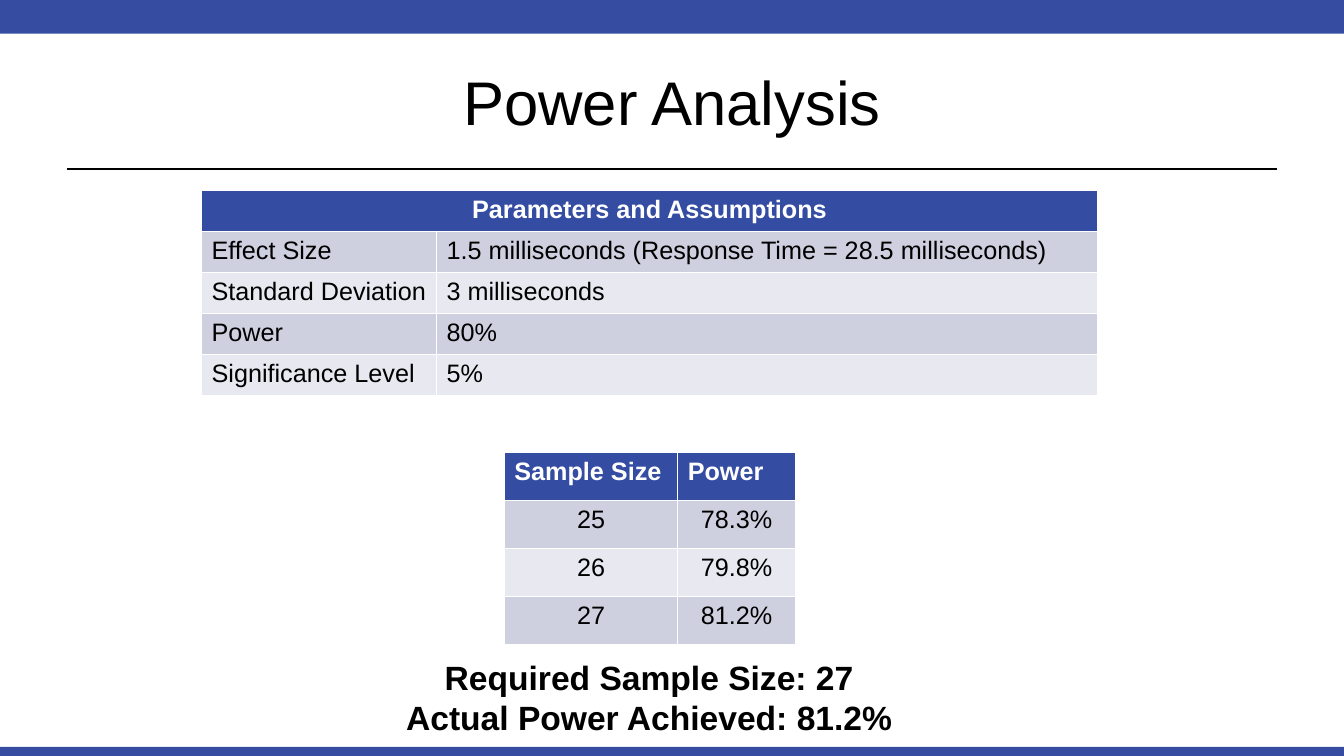
from pptx import Presentation
from pptx.dml.color import RGBColor
from pptx.enum.shapes import MSO_CONNECTOR, MSO_SHAPE
from pptx.enum.text import MSO_ANCHOR, PP_ALIGN
from pptx.oxml.ns import qn
from pptx.util import Cm, Pt
from lxml.etree import SubElement

BAR_BLUE = RGBColor(0x35, 0x4C, 0xA1)
HEAD_BLUE = RGBColor(0x34, 0x4C, 0xA1)
BANDS = [RGBColor(0xE8, 0xE9, 0xF0), RGBColor(0xCE, 0xD0, 0xE0)]
BLACK = RGBColor(0, 0, 0)
WHITE = RGBColor(0xFF, 0xFF, 0xFF)
SLIDE_W, SLIDE_H = 33.87, 19.05


def format_paragraph(p, size, color=BLACK, bold=False, align=PP_ALIGN.CENTER):
    p.alignment = align
    for r in p.runs:
        r.font.name = "Arial"
        r.font.size = Pt(size)
        r.font.bold = bold
        r.font.color.rgb = color


def add_bar(s, top, height):
    bar = s.shapes.add_shape(MSO_SHAPE.RECTANGLE, 0, Cm(top), Cm(SLIDE_W), Cm(height))
    bar.shadow.inherit = False
    bar.fill.solid()
    bar.fill.fore_color.rgb = BAR_BLUE
    bar.line.fill.background()


def add_title(s, left, top, width, height, text):
    title = s.shapes.title
    title.left, title.top, title.width, title.height = Cm(left), Cm(top), Cm(width), Cm(height)
    tf = title.text_frame
    tf.text = text
    tf.vertical_anchor = MSO_ANCHOR.MIDDLE
    format_paragraph(tf.paragraphs[0], 44)
    rule_y = Cm(top + height - 0.2)
    rule = s.shapes.add_connector(
        MSO_CONNECTOR.STRAIGHT, Cm(left), rule_y, Cm(left + width), rule_y)
    rule.line.color.rgb = BLACK
    rule.line.width = Pt(1.25)
    SubElement(rule._element.spPr, qn("a:effectLst"))


def add_data_table(s, left, top, col_widths, row_height, rows, head_align, body_align):
    tbl = s.shapes.add_table(
        len(rows), len(col_widths), Cm(left), Cm(top),
        Cm(sum(col_widths)), Cm(row_height * len(rows))).table
    for col, width in zip(tbl.columns, col_widths):
        col.width = Cm(width)
    for i, row in enumerate(rows):
        tbl.rows[i].height = Cm(row_height)
        for j, text in enumerate(row):
            cell = tbl.cell(i, j)
            cell.text = text
            cell.fill.solid()
            cell.fill.fore_color.rgb = BANDS[i % 2] if i else HEAD_BLUE
            format_paragraph(
                cell.text_frame.paragraphs[0], 18, BLACK if i else WHITE,
                i == 0, body_align if i else head_align)
    return tbl


def add_conclusion(s, left, top, width, height, lines):
    tf = s.shapes.add_textbox(Cm(left), Cm(top), Cm(width), Cm(height)).text_frame
    tf.word_wrap = True
    tf.text = "\n".join(lines)
    for p in tf.paragraphs:
        format_paragraph(p, 24, bold=True)


def main():
    prs = Presentation()
    prs.slide_width, prs.slide_height = Cm(SLIDE_W), Cm(SLIDE_H)
    s = prs.slides.add_slide(prs.slide_layouts[5])
    add_bar(s, 18.82, 0.23)
    add_bar(s, 0, 0.85)
    add_title(s, 1.7, 0.64, 30.48, 3.81 - 0.64 + 0.64, "Power Analysis")
    parameters = add_data_table(s, 5.08, 4.81, [5.92, 16.66], 1.03, [
        ["Parameters and Assumptions", ""],
        ["Effect Size", "1.5 milliseconds (Response Time = 28.5 milliseconds)"],
        ["Standard Deviation", "3 milliseconds"],
        ["Power", "80%"],
        ["Significance Level", "5%"],
    ], PP_ALIGN.CENTER, PP_ALIGN.LEFT)
    parameters.cell(0, 0).merge(parameters.cell(0, 1))
    add_conclusion(s, 8.64, 16.43, 15.44, 2.31, [
        "Required Sample Size: 27", "Actual Power Achieved: 81.2%"])
    add_data_table(s, 12.71, 11.4, [4.37, 2.97], 1.21, [
        ["Sample Size", "Power"],
        ["25", "78.3%"],
        ["26", "79.8%"],
        ["27", "81.2%"],
    ], PP_ALIGN.LEFT, PP_ALIGN.CENTER)
    prs.save("out.pptx")


if __name__ == "__main__":
    main()
